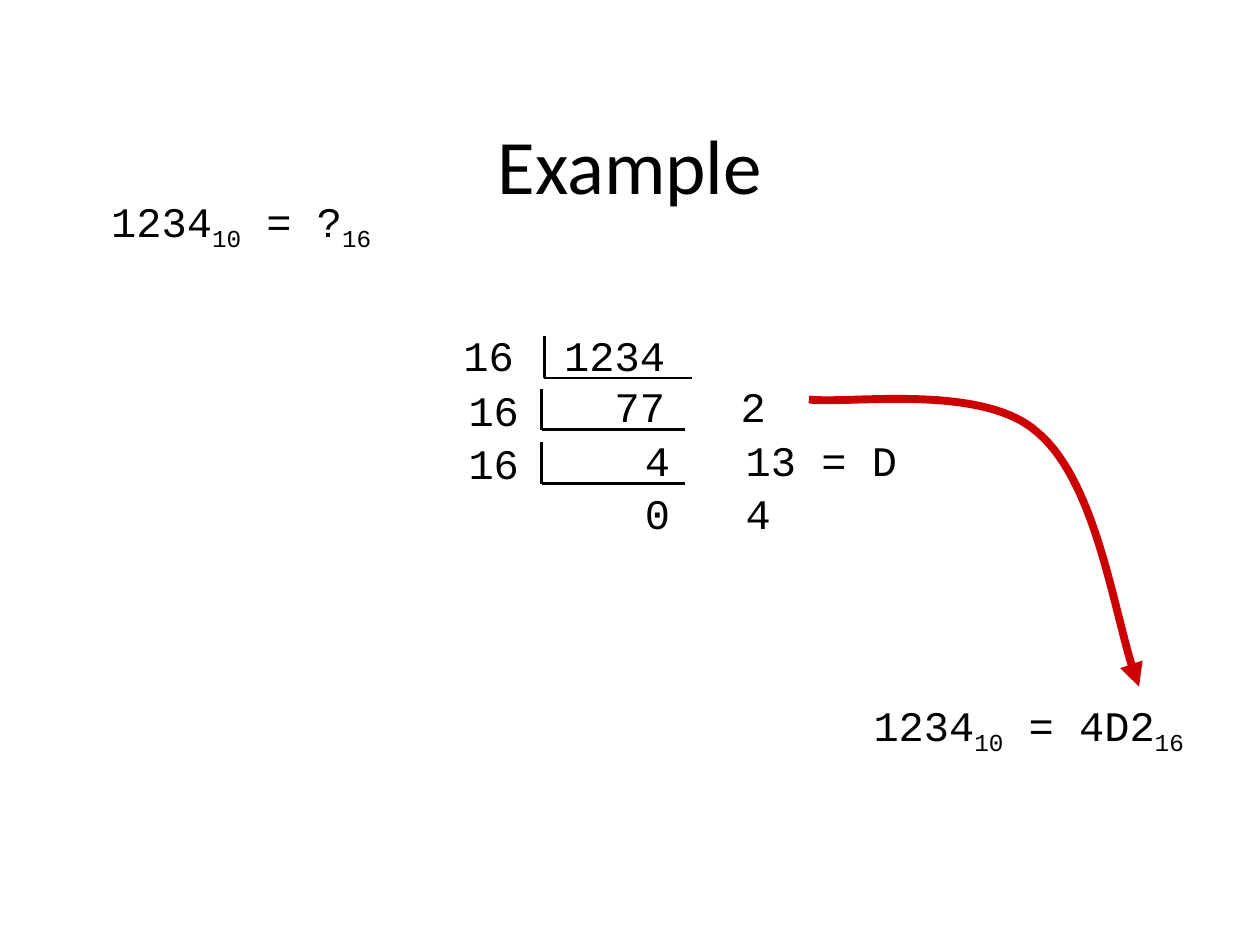
import dataclasses
import typing

import pptx
import pptx.dml.color
import pptx.enum.shapes
import pptx.enum.text
import pptx.oxml
import pptx.oxml.ns
import pptx.util

Inches = pptx.util.Inches
Pt = pptx.util.Pt
qn = pptx.oxml.ns.qn
NS = 'xmlns:a="http://schemas.openxmlformats.org/drawingml/2006/main"'
MONO = "Courier New"
BLACK = "000000"
RED = "CC0000"
STOPS = ((1.6, "r"), (2.2, "l"))


@dataclasses.dataclass
class Sum:
    left: float
    top: float
    wide: float
    rows: tuple[str, str]


@dataclasses.dataclass
class Rule:
    left: float
    top: float
    base: float
    right: float


@dataclasses.dataclass
class Claim:
    left: float
    top: float
    value: str


SUMS = (
    Sum(3.58, 2.57, 2.7, ("16\t1234", "\t77\t2")),
    Sum(3.62, 3, 3.88, ("16", "\t4\t13 = D")),
    Sum(3.62, 3.42, 3.88, ("16", "\t0\t4")),
)
RULES = (
    Rule(4.32, 2.67, 3, 5.49),
    Rule(4.3, 3.09, 3.41, 5.44),
    Rule(4.3, 3.51, 3.84, 5.44),
)
CLAIMS = (Claim(0.33, 1.5, "?"), Claim(6.58, 5.5, "4D2"))
CURVE = (
    (6.42, 3.17),
    (6.72, 3.21), (7.78, 3.04), (8.22, 3.42),
    (8.68, 3.79), (8.87, 5.03), (9.04, 5.45),
)


def color(code: str) -> pptx.dml.color.RGBColor:
    return pptx.dml.color.RGBColor.from_string(code)


def add_run(para: typing.Any, text: str, size: float = 24,
            face: str = MONO, base: int = 0) -> None:
    run = para.add_run()
    run.text = text
    run.font.size = Pt(size)
    run.font.name = face
    run.font.color.rgb = color(BLACK)
    if base:
        run.font._element.set("baseline", str(base * 1000))


def add_box(shapes: typing.Any, left: float, top: float,
            wide: float, high: float) -> typing.Any:
    box = shapes.add_textbox(Inches(left), Inches(top), Inches(wide), Inches(high))
    box.text_frame.word_wrap = True
    return box.text_frame


def add_title(shapes: typing.Any) -> None:
    frame = add_box(shapes, 0.5, 0.67, 9, 1.25)
    frame.vertical_anchor = pptx.enum.text.MSO_ANCHOR.MIDDLE
    para = frame.paragraphs[0]
    para.alignment = pptx.enum.text.PP_ALIGN.CENTER
    add_run(para, "Example", 44, "Calibri")


def add_claim(shapes: typing.Any, claim: Claim) -> None:
    para = add_box(shapes, claim.left, claim.top, 3.17, 0.56).paragraphs[0]
    para.alignment = pptx.enum.text.PP_ALIGN.CENTER
    add_run(para, "1234")
    add_run(para, "10", base=-25)
    add_run(para, f" = {claim.value}")
    add_run(para, "16", base=-25)


def add_sum(shapes: typing.Any, item: Sum) -> None:
    frame = add_box(shapes, item.left, item.top, item.wide, 0.9)
    tabs = "".join(f'<a:tab pos="{Inches(at)}" algn="{side}"/>' for at, side in STOPS)
    for num, row in enumerate(item.rows):
        para = frame.add_paragraph() if num else frame.paragraphs[0]
        para._p.get_or_add_pPr().append(
            pptx.oxml.parse_xml(f"<a:tabLst {NS}>{tabs}</a:tabLst>"))
        add_run(para, row)


def add_line(shapes: typing.Any, start: tuple[float, float],
             end: tuple[float, float]) -> None:
    kind = pptx.enum.shapes.MSO_CONNECTOR.STRAIGHT
    line = shapes.add_connector(kind, *map(Inches, start + end))
    line.line.color.rgb = color(BLACK)
    line.line.width = Pt(1.5)
    line._element.spPr.append(pptx.oxml.parse_xml(f"<a:effectLst {NS}/>"))


def add_rule(shapes: typing.Any, rule: Rule) -> None:
    foot = (rule.left, rule.base)
    add_line(shapes, (rule.left, rule.top), foot)
    add_line(shapes, foot, (rule.right, rule.base))


def add_curve(shapes: typing.Any) -> None:
    first, *rest = [(Inches(x), Inches(y)) for x, y in CURVE]
    pen = shapes.build_freeform(*first)
    pen.add_line_segments(rest, close=False)
    curve = pen.convert_to_shape()
    curve.shadow.inherit = False
    curve.fill.background()
    curve.line.color.rgb = color(RED)
    curve.line.width = Pt(4.5)
    curve.line._get_or_add_ln().append(
        pptx.oxml.parse_xml(f'<a:tailEnd {NS} type="triangle"/>'))
    legs = list(curve._element.iter(qn("a:lnTo")))
    for num in range(0, len(legs), 3):
        bend = pptx.oxml.parse_xml(f"<a:cubicBezTo {NS}/>")
        legs[num].addprevious(bend)
        for leg in legs[num:num + 3]:
            bend.append(leg[0])
            leg.getparent().remove(leg)


def main() -> None:
    deck = pptx.Presentation()
    deck.slide_width = Inches(10)
    deck.slide_height = Inches(7.5)
    shapes = deck.slides.add_slide(deck.slide_layouts[6]).shapes
    add_title(shapes)
    for claim in CLAIMS:
        add_claim(shapes, claim)
    add_curve(shapes)
    group = shapes.add_group_shape().shapes
    for item, rule in zip(SUMS, RULES):
        add_sum(group, item)
        add_rule(group, rule)
    deck.save("out.pptx")


if __name__ == "__main__":
    main()
